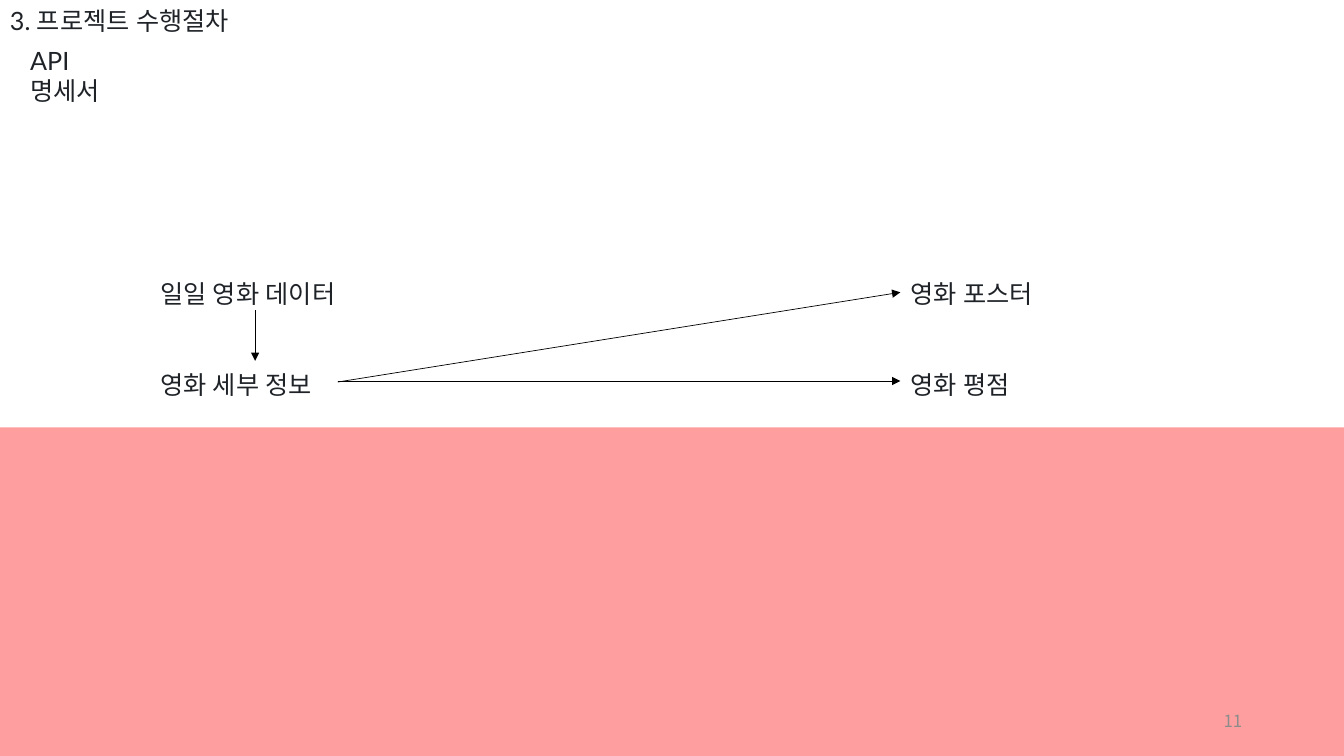
import pptx
import pptx.util
import pptx.dml.color
import pptx.enum.text
import pptx.enum.shapes
from lxml import etree

W, H = 13.33, 7.5
COLORS = {"ink": "1F2328", "band": "FF0000", "number": "8C8C8C", "arrow": "000000"}
BODY, NUMBER = "Lato", "Noto Sans CJK KR"
LEFT, RIGHT, TOP = 1.49, 8.93, 2.71
ROW_GAP = 43.5
BAND_TOP = 4.24
LABELS = [
    (["3. 프로젝트 수행절차"], (0, 0, 2.53, 0.4), False),
    (["API 명세서"], (0.2, 0.4, 1.25, 0.7), True),
    (["일일 영화 데이터", "영화 세부 정보"], (LEFT, TOP, 2.08, 1.31), False),
    (["영화 포스터", "영화 평점"], (RIGHT, TOP, 1.52, 1.31), False),
]
ARROWS = [
    ((2.53, 3.08), (2.53, 3.58)),
    ((3.35, 3.79), (RIGHT, 2.9)),
    ((3.35, 3.78), (RIGHT, 3.78)),
]


def inches(values):
    return [pptx.util.Inches(v) for v in values]


def rgb(name):
    return pptx.dml.color.RGBColor.from_string(COLORS[name])


def add_text(s, lines, box, wrap=False, size=18, font=BODY, color="ink"):
    tf = s.shapes.add_textbox(*inches(box)).text_frame
    tf.word_wrap = wrap
    tf.text = "\n".join(lines)
    for i, p in enumerate(tf.paragraphs):
        if i:
            p.space_before = pptx.util.Pt(ROW_GAP)
        for r in p.runs:
            r.font.size = pptx.util.Pt(size)
            r.font.name = font
            r.font.color.rgb = rgb(color)
            ea = etree.SubElement(r.font._element, pptx.oxml.ns.qn("a:ea"))
            ea.set("typeface", font)
    return tf


def add_band(s):
    sp = s.shapes.add_shape(pptx.enum.shapes.MSO_SHAPE.RECTANGLE,
                            *inches((0, BAND_TOP, W, H - BAND_TOP)))
    sp.shadow.inherit = False
    sp.fill.solid()
    sp.fill.fore_color.rgb = rgb("band")
    sp.line.fill.background()
    color = sp.fill._xPr.find(".//" + pptx.oxml.ns.qn("a:srgbClr"))
    etree.SubElement(color, pptx.oxml.ns.qn("a:alpha")).set("val", "38000")


def add_arrow(s, start, end):
    line = s.shapes.add_connector(pptx.enum.shapes.MSO_CONNECTOR.STRAIGHT,
                                  *inches(start + end))
    line.line.width = pptx.util.Pt(0.5)
    line.line.color.rgb = rgb("arrow")
    ln = line.line._get_or_add_ln()
    etree.SubElement(ln, pptx.oxml.ns.qn("a:tailEnd")).set("type", "triangle")
    etree.SubElement(line._element.spPr, pptx.oxml.ns.qn("a:effectLst"))


def main():
    prs = pptx.Presentation()
    prs.slide_width, prs.slide_height = inches((W, H))
    s = prs.slides.add_slide(prs.slide_layouts[6])
    for lines, box, wrap in LABELS:
        add_text(s, lines, box, wrap)
    add_band(s)
    tf = add_text(s, ["11"], (9.42, 6.95, 3, 0.4), True, 12, NUMBER, "number")
    tf.vertical_anchor = pptx.enum.text.MSO_ANCHOR.MIDDLE
    tf.paragraphs[0].alignment = pptx.enum.text.PP_ALIGN.RIGHT
    for start, end in ARROWS:
        add_arrow(s, start, end)
    prs.save("out.pptx")


if __name__ == "__main__":
    main()
